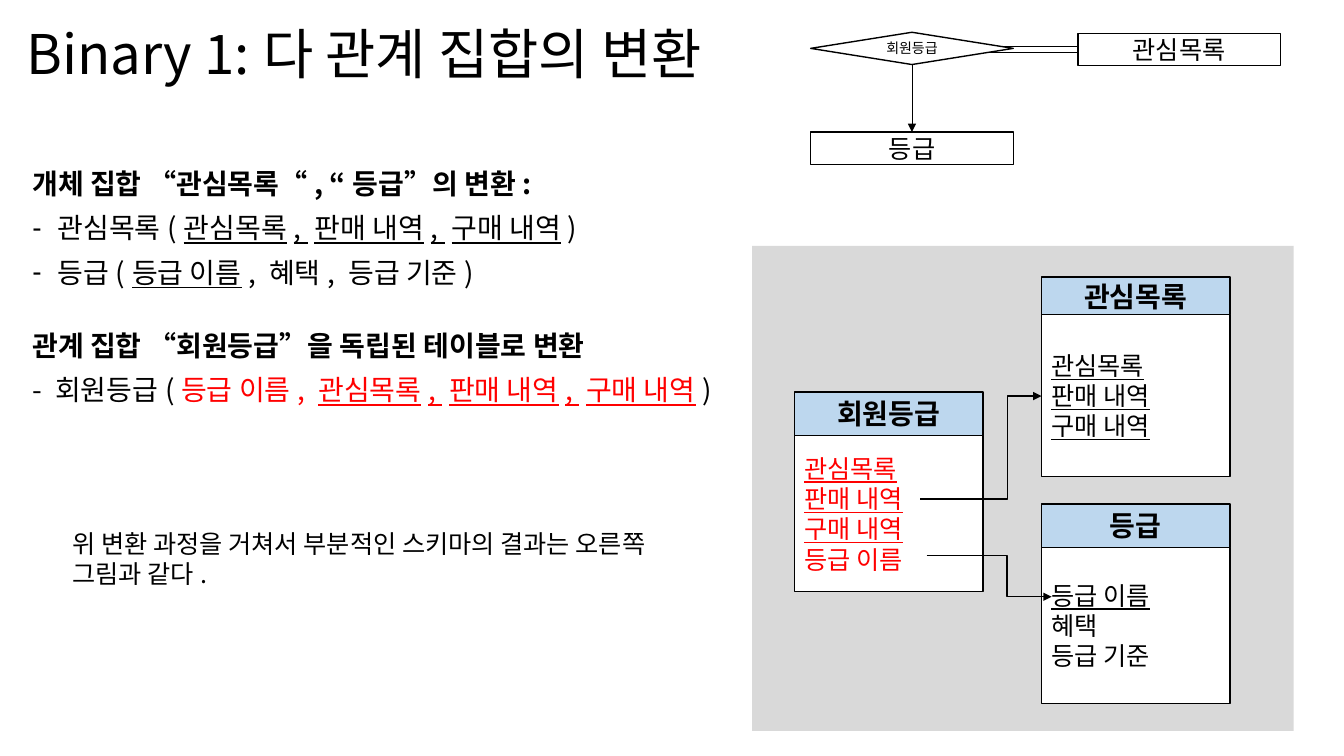
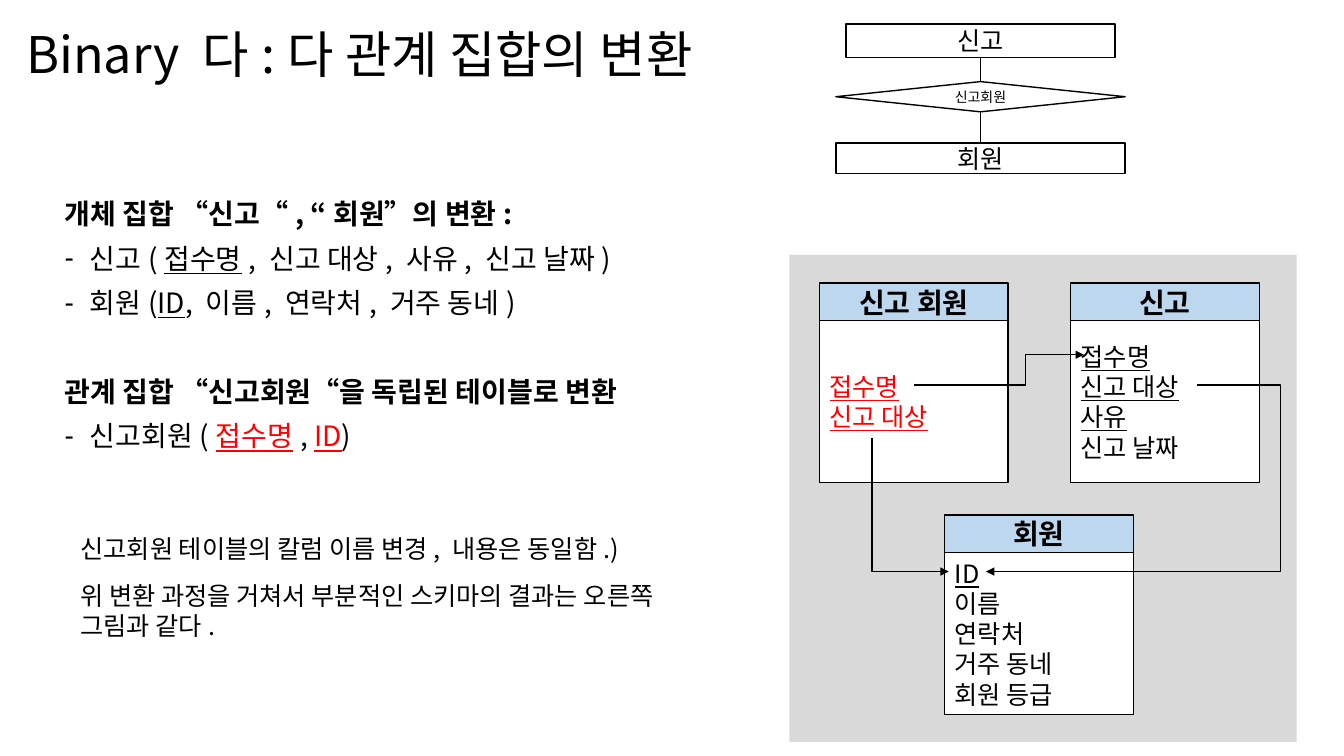
from lxml import etree
from pptx import Presentation
from pptx.dml.color import RGBColor
from pptx.enum.shapes import MSO_CONNECTOR, MSO_SHAPE
from pptx.enum.text import MSO_ANCHOR, MSO_AUTO_SIZE, PP_ALIGN
from pptx.oxml.ns import qn
from pptx.util import Inches, Pt

# Shared colours, font and shape kinds
BLACK = RGBColor(0x00, 0x00, 0x00)
WHITE = RGBColor(0xFF, 0xFF, 0xFF)
RED = RGBColor(0xFF, 0x00, 0x00)
PANEL_GRAY = RGBColor(0xD9, 0xD9, 0xD9)
HEADER_BLUE = RGBColor(0xBD, 0xD7, 0xEE)
FONT = "Noto Sans CJK KR"

RECT, DIAMOND = MSO_SHAPE.RECTANGLE, MSO_SHAPE.DIAMOND
STRAIGHT, ELBOW = MSO_CONNECTOR.STRAIGHT, MSO_CONNECTOR.ELBOW
LEFT, CENTER = PP_ALIGN.LEFT, PP_ALIGN.CENTER
TOP, MIDDLE = MSO_ANCHOR.TOP, MSO_ANCHOR.MIDDLE
TOP_SIDE, BOTTOM_SIDE = 0, 2

# Run formats
PLAIN = {}
BOLD = {"bold": True}
KEY = {"underline": True}
FOREIGN = {"color": RED}
FOREIGN_KEY = {"underline": True, "color": RED}

# Shared measures, in inches
TITLE_BOX = (0.16, 0.15, 7.3, 0.83)
TABLE_WIDTH, TABLE_HEIGHT = 1.87, 1.98


def inches(values):
    return [Inches(value) for value in values]


def add_runs(paragraph, runs, size):
    for text, style in runs:
        run = paragraph.add_run()
        run.text = text
        font = run.font
        values = {"name": FONT, "size": Pt(size), "color": BLACK, **style}
        font.color.rgb = values.pop("color")
        for name, value in values.items():
            setattr(font, name, value)
        east_asian = etree.SubElement(run._r.get_or_add_rPr(), qn("a:ea"))
        east_asian.set("typeface", FONT)


def set_bullet(paragraph, dash):
    properties = paragraph._p.get_or_add_pPr()
    properties.set("marL", str(Inches(0.25) if dash else 0))
    properties.set("indent", str(Inches(-0.25) if dash else 0))
    if dash:
        etree.SubElement(properties, qn("a:buChar")).set("char", "-")
    else:
        etree.SubElement(properties, qn("a:buNone"))


def paragraphs(frame, count):
    yield frame.paragraphs[0]
    for _ in range(count - 1):
        yield frame.add_paragraph()


def place(placeholder, box, anchor):
    names = ("left", "top", "width", "height")
    for name, value in zip(names, inches(box)):
        setattr(placeholder, name, value)
    frame = placeholder.text_frame
    frame.auto_size = MSO_AUTO_SIZE.NONE
    frame.word_wrap = True
    frame.vertical_anchor = anchor
    return frame


def add_slide(prs, title, title_size):
    slide = prs.slides.add_slide(prs.slide_layouts[1])
    heading = place(slide.shapes.title, TITLE_BOX, MIDDLE).paragraphs[0]
    heading.alignment = LEFT
    heading.line_spacing = 0.9
    add_runs(heading, [(title, PLAIN)], title_size)
    return slide


def fill_body(slide, box, lines):
    """Each line is (has dash, points before, runs)."""
    frame = place(slide.placeholders[1], box, TOP)
    for paragraph, (dash, before, runs) in zip(paragraphs(frame, len(lines)), lines):
        set_bullet(paragraph, dash)
        paragraph.line_spacing = 0.9
        paragraph.space_before = Pt(before)
        add_runs(paragraph, runs, 20)


def add_note(slide, box, sentences):
    frame = slide.shapes.add_textbox(*inches(box)).text_frame
    frame.word_wrap = True
    for index, paragraph in enumerate(paragraphs(frame, len(sentences))):
        paragraph.space_before = Pt(12 if index else 0)
        add_runs(paragraph, [(sentences[index], PLAIN)], 18)


def add_box(slide, box, fill, lines=(), size=18, kind=RECT, align=CENTER, outlined=True):
    shape = slide.shapes.add_shape(kind, *inches(box))
    shape.shadow.inherit = False
    shape.fill.solid()
    shape.fill.fore_color.rgb = fill
    if outlined:
        shape.line.color.rgb = BLACK
        shape.line.width = Pt(1)
    else:
        shape.line.fill.background()
    frame = shape.text_frame
    frame.vertical_anchor = MIDDLE
    for paragraph, line in zip(paragraphs(frame, len(lines)), lines):
        paragraph.alignment = align
        add_runs(paragraph, [line], size)
    return shape


def add_panel(slide, box):
    add_box(slide, box, PANEL_GRAY, outlined=False)


def add_entity(slide, box, name):
    return add_box(slide, box, WHITE, [(name, PLAIN)])


def add_relation(slide, box, name):
    return add_box(slide, box, WHITE, [(name, PLAIN)], size=10, kind=DIAMOND)


def add_schema(slide, left, top, name, columns, header=0.37):
    body = (left, top + header, TABLE_WIDTH, TABLE_HEIGHT - header)
    add_box(slide, body, WHITE, columns, align=LEFT)
    add_box(slide, (left, top, TABLE_WIDTH, header), HEADER_BLUE, [(name, BOLD)], size=20)


def add_line(slide, start, end, kind=STRAIGHT, width=0.5, arrow=False):
    line = slide.shapes.add_connector(kind, *inches(start + end))
    line.line.color.rgb = BLACK
    line.line.width = Pt(width)
    if arrow:
        etree.SubElement(line.line._get_or_add_ln(), qn("a:tailEnd")).set("type", "triangle")
    etree.SubElement(line._element.spPr, qn("a:effectLst"))
    return line


def join(slide, upper, lower, arrow=False):
    line = add_line(slide, (0, 0), (1, 1), arrow=arrow)
    line.begin_connect(upper, BOTTOM_SIDE)
    line.end_connect(lower, TOP_SIDE)


def add_reference(slide, start, end, bend, downward=False):
    """Elbow arrow that turns at x = bend, or at y = bend if it starts downward."""
    (x0, y0), (x1, y1) = start, end
    if downward:
        # The frame lies on its side: swap width and height about the centre
        mid_x, mid_y = (x0 + x1) / 2, (y0 + y1) / 2
        half_w, half_h = (y1 - y0) / 2, (x1 - x0) / 2
        line = add_line(slide, (mid_x + half_w, mid_y - half_h),
                        (mid_x - half_w, mid_y + half_h), ELBOW, 1, True)
        line._element.spPr.find(qn("a:xfrm")).set("rot", str(270 * 60000))
        ratio = (bend - y0) / (y1 - y0)
    else:
        line = add_line(slide, start, end, ELBOW, 1, True)
        ratio = (bend - x0) / (x1 - x0)
    geometry = line._element.spPr.find(qn("a:prstGeom"))
    values = geometry.find(qn("a:avLst"))
    if values is None:
        values = etree.SubElement(geometry, qn("a:avLst"))
    guide = etree.SubElement(values, qn("a:gd"))
    guide.set("name", "adj1")
    guide.set("fmla", f"val {round(ratio * 100000)}")


def build_one_to_many(prs):
    slide = add_slide(prs, "Binary 1:다 관계 집합의 변환", 39)
    add_panel(slide, (7.46, 2.44, 5.37, 4.81))

    # Conversion rules
    fill_body(slide, (0.22, 1.64, 7.42, 4.76), [
        (False, 0, [("개체 집합 “관심목록“, “등급”의 변환:", BOLD)]),
        (True, 10, [("관심목록(", PLAIN), ("관심목록, 판매 내역, 구매 내역", KEY), (")", PLAIN)]),
        (True, 10, [("등급(", PLAIN), ("등급 이름", KEY), (", 혜택, 등급 기준)", PLAIN)]),
        (False, 31, [("관계 집합 “회원등급”을 독립된 테이블로 변환", BOLD)]),
        (False, 10, [("- 회원등급(", PLAIN), ("등급 이름, ", FOREIGN),
                     ("관심목록, 판매 내역, 구매 내역", FOREIGN_KEY), (")", PLAIN)]),
    ])
    add_note(slide, (0.62, 5.19, 6.62, 1.01),
             ["위 변환 과정을 거쳐서 부분적인 스키마의 결과는 오른쪽 그림과 같다."])

    # Entity-relationship diagram, with a double line for total participation
    add_line(slide, (9.76, 0.46), (10.98, 0.46))
    add_line(slide, (9.64, 0.52), (10.87, 0.52))
    grade = add_entity(slide, (8.04, 1.31, 2.01, 0.32), "등급")
    add_entity(slide, (10.69, 0.33, 2.01, 0.32), "관심목록")
    membership = add_relation(slide, (8.04, 0.32, 2.01, 0.32), "회원등급")
    join(slide, membership, grade, arrow=True)

    # Resulting schema
    add_schema(slide, 10.33, 5, "등급",
               [("등급 이름", KEY), ("혜택", PLAIN), ("등급 기준", PLAIN)], header=0.43)
    add_schema(slide, 7.88, 3.89, "회원등급",
               [("관심목록", FOREIGN_KEY), ("판매 내역", FOREIGN_KEY),
                ("구매 내역", FOREIGN_KEY), ("등급 이름", FOREIGN)], header=0.43)
    add_schema(slide, 10.33, 2.75, "관심목록",
               [("관심목록", KEY), ("판매 내역", KEY), ("구매 내역", KEY)])
    add_reference(slide, (9.13, 4.95), (10.33, 3.93), 9.99)
    add_reference(slide, (9.19, 5.51), (10.43, 5.92), 9.99)


def build_many_to_many(prs):
    slide = add_slide(prs, "Binary 다:다 관계 집합의 변환", 36)
    add_panel(slide, (7.83, 2.53, 5.03, 4.83))

    # Conversion rules
    fill_body(slide, (0.54, 1.94, 6.62, 2.9), [
        (False, 0, [("개체 집합 “신고“, “회원”의 변환:", BOLD)]),
        (True, 10, [("신고(", PLAIN), ("접수명", KEY), (", 신고 대상, 사유, 신고 날짜)", PLAIN)]),
        (True, 10, [("회원(", PLAIN), ("ID", KEY), (", 이름, 연락처, 거주 동네)", PLAIN)]),
        (False, 42, [("관계 집합 “신고회원“을 독립된 테이블로 변환", BOLD)]),
        (True, 10, [("신고회원(", PLAIN), ("접수명", FOREIGN_KEY), (", ", PLAIN),
                    ("ID", FOREIGN_KEY), (")", PLAIN)]),
    ])
    add_note(slide, (0.7, 5.24, 6.62, 1.48),
             ["신고회원 테이블의 칼럼 이름 변경, 내용은 동일함.)",
              "위 변환 과정을 거쳐서 부분적인 스키마의 결과는 오른쪽 그림과 같다."])

    # Entity-relationship diagram
    member = add_entity(slide, (8.29, 1.42, 2.87, 0.3), "회원")
    report = add_entity(slide, (8.39, 0.24, 2.67, 0.33), "신고")
    reporting = add_relation(slide, (8.29, 0.81, 2.87, 0.3), "신고회원")
    join(slide, report, reporting)
    join(slide, reporting, member)

    # Resulting schema
    add_schema(slide, 9.37, 5.11, "회원",
               [("ID", KEY), ("이름", PLAIN), ("연락처", PLAIN),
                ("거주 동네", PLAIN), ("회원 등급", PLAIN)])
    add_schema(slide, 10.62, 2.81, "신고",
               [("접수명", KEY), ("신고 대상", KEY), ("사유", KEY), ("신고 날짜", PLAIN)])
    add_schema(slide, 8.13, 2.81, "신고 회원",
               [("접수명", FOREIGN_KEY), ("신고 대상", FOREIGN_KEY)])
    add_reference(slide, (8.65, 4.35), (9.41, 5.67), 5.67, downward=True)
    add_reference(slide, (11.87, 3.82), (9.78, 5.67), 12.7)
    add_reference(slide, (9.07, 3.82), (10.75, 3.52), 10.17)


def main():
    prs = Presentation()
    prs.slide_width, prs.slide_height = inches((13.33, 7.5))
    build_one_to_many(prs)
    build_many_to_many(prs)
    prs.save("out.pptx")


if __name__ == "__main__":
    main()
